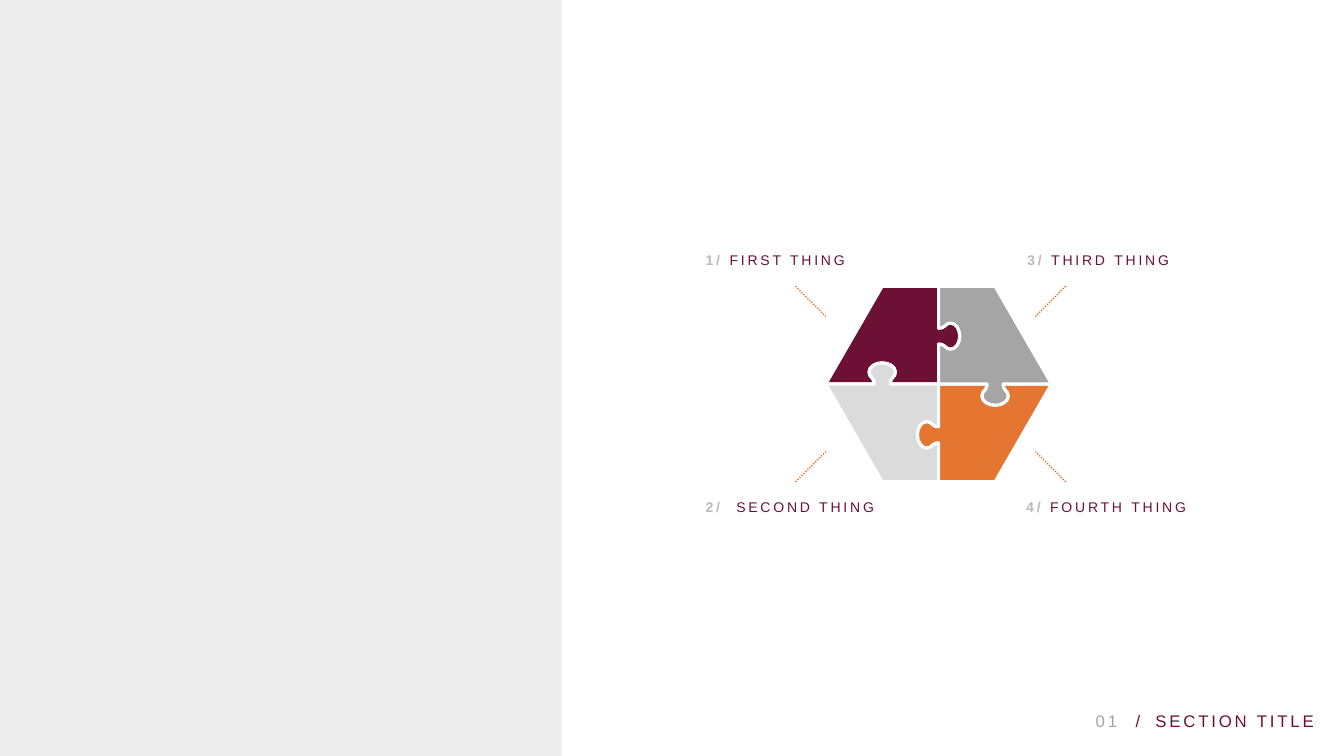
import dataclasses

import pptx
import pptx.dml.color
import pptx.enum.dml
import pptx.enum.shapes
import pptx.enum.text
import pptx.oxml.ns
import pptx.util
from lxml import etree

SLIDE_WIDTH, SLIDE_HEIGHT = 13.33, 7.5


@dataclasses.dataclass(frozen=True)
class Theme:
    font: str = "Arial"
    panel: str = "EDEDED"
    white: str = "FFFFFF"
    wine: str = "6C1035"
    silver: str = "DBDBDB"
    orange: str = "E57631"
    gray: str = "A5A5A5"
    number: str = "BABABA"
    label_size: float = 10
    footer_size: float = 12
    tracking: float = 2
    wide_tracking: float = 6.8
    seam_width: float = 2.25
    leader_width: float = 1


@dataclasses.dataclass(frozen=True)
class Box:
    left: float
    top: float
    width: float
    height: float

    def emu(self):
        return [pptx.util.Inches(v) for v in dataclasses.astuple(self)]


THEME = Theme()
PANEL = Box(0, 0, 5.57, SLIDE_HEIGHT)
DIAGRAM = Box(6.9, 2.45, 5.48, 2.72)
FOOTER = Box(6.37, 6.85, SLIDE_WIDTH - 6.37, 0.45)

HALF_KNOB = [
    (0.08, 0), (0.08, 0.02), (0.08, 0.04), (0.1, 0.06),
    (0.12, 0.08), (0.13, 0.09), (0.13, 0.12),
    (0.13, 0.17), (0.07, 0.21), (0, 0.21),
]
KNOB = HALF_KNOB + [(-along, out) for along, out in HALF_KNOB[-2::-1]]


def rgb(color):
    return pptx.dml.color.RGBColor.from_string(color)


def straight(start, end):
    return [start, end, end]


def seam(end, knob_share, direction):
    knob_x, knob_y = end[0] * knob_share, end[1] * knob_share
    side = 1 if sum(end) > 0 else -1
    if end[0]:
        knob = [(knob_x + side * along, direction * out) for along, out in KNOB]
    else:
        knob = [(direction * out, knob_y + side * along) for along, out in KNOB]
    return straight(end, knob[0]) + knob[:-1] + straight(knob[-1], (0, 0)) + [(0, 0)]


def add_curved_outline(slide, points):
    anchors = points[::3]
    builder = slide.shapes.build_freeform(*anchors[0], scale=1.0)
    builder.add_line_segments(anchors[1:], close=True)
    outline = builder.convert_to_shape()
    segments = list(outline._element.iter(pptx.oxml.ns.qn("a:lnTo")))
    for index, segment in enumerate(segments):
        start, first, second, end = points[3 * index:3 * index + 4]
        if first == start and second == end:
            continue
        segment.tag = pptx.oxml.ns.qn("a:cubicBezTo")
        for position, (x, y) in enumerate((first, second)):
            handle = etree.Element(pptx.oxml.ns.qn("a:pt"))
            handle.set("x", str(x - outline.left))
            handle.set("y", str(y - outline.top))
            segment.insert(position, handle)
    return outline


def add_text(slide, box, runs, size, footer=False, align=None):
    frame = slide.shapes.add_textbox(*box.emu()).text_frame
    frame.word_wrap = True
    paragraph = frame.paragraphs[0]
    if footer:
        frame.vertical_anchor = pptx.enum.text.MSO_ANCHOR.BOTTOM
        frame.margin_left = frame.margin_right = pptx.util.Inches(0.05)
        paragraph.line_spacing = 0.9
    paragraph.alignment = align
    paragraph.font.name = THEME.font
    paragraph.font.size = pptx.util.Pt(size)
    for wording, color, bold, tracking in runs:
        run = paragraph.add_run()
        run.text = wording
        run.font.color.rgb = rgb(color)
        run.font.bold = bold
        run._r.get_or_add_rPr().set("spc", str(round(tracking * 100)))


def add_panel(slide, box):
    panel = slide.shapes.add_shape(pptx.enum.shapes.MSO_SHAPE.RECTANGLE, *box.emu())
    panel.shadow.inherit = False
    panel.fill.solid()
    panel.fill.fore_color.rgb = rgb(THEME.panel)
    panel.line.fill.background()


def add_puzzle(slide, box):
    half_width, half_height = box.width / 2, box.height / 2
    center_x, center_y = box.left + half_width, box.top + half_height
    top = seam((0, -half_height), 0.49, 1)
    bottom = seam((0, half_height), 0.52, -1)
    left = seam((-half_width, 0), 0.5, -1)
    right = seam((half_width, 0), 0.5, 1)
    pieces = [
        (top, left, -1, -1, THEME.wine),
        (bottom, left, -1, 1, THEME.silver),
        (bottom, right, 1, 1, THEME.orange),
        (top, right, 1, -1, THEME.gray),
    ]
    for upright, level, side, row, color in pieces:
        corner = (side * half_width / 2, row * half_height)
        edge = straight(level[0], corner)[1:] + [corner]
        points = [(pptx.util.Inches(center_x + x), pptx.util.Inches(center_y + y))
                  for x, y in upright + level[-2::-1] + [level[0]] * 0 + edge]
        piece = add_curved_outline(slide, points)
        piece.shadow.inherit = False
        piece.fill.solid()
        piece.fill.fore_color.rgb = rgb(color)
        piece.line.color.rgb = rgb(THEME.white)
        piece.line.width = pptx.util.Pt(THEME.seam_width)


def add_leaders(slide, center_x, center_y):
    for side in (-1, 1):
        for row in (-1, 1):
            ends = [center_x + side * 1.34, center_y + row * 0.97,
                    center_x + side * 1.04, center_y + row * 0.67]
            leader = slide.shapes.add_connector(
                pptx.enum.shapes.MSO_CONNECTOR.STRAIGHT, *map(pptx.util.Inches, ends))
            leader.line.color.rgb = rgb(THEME.orange)
            leader.line.width = pptx.util.Pt(THEME.leader_width)
            leader.line.dash_style = pptx.enum.dml.MSO_LINE.ROUND_DOT
            etree.SubElement(leader._element.spPr, pptx.oxml.ns.qn("a:effectLst"))


def add_diagram(slide, box):
    add_puzzle(slide, Box(box.left + 1.29, box.top + 0.39, 2.24, 1.94))
    add_leaders(slide, box.left + 2.33, box.top + 1.36)
    lower = box.height - 0.27
    wide_number = [("2/", THEME.number, True, THEME.tracking),
                   (" ", THEME.number, True, THEME.wide_tracking)]
    labels = [
        ([("1/ ", THEME.number, True, THEME.tracking)], "FIRST THING", 0, 0, 1.98),
        (wide_number, "SECOND THING", 0, lower, 2.46),
        ([("3/ ", THEME.number, True, THEME.tracking)], "THIRD THING", 3.19, 0, 1.98),
        ([("4/ ", THEME.number, True, THEME.tracking)], "FOURTH THING", 3.18, lower, 2.3),
    ]
    for number, title, across, down, width in labels:
        add_text(slide, Box(box.left + across, box.top + down, width, 0.27),
                 number + [(title, THEME.wine, False, THEME.tracking)], THEME.label_size)


def add_footer(slide, box):
    right = pptx.enum.text.PP_ALIGN.RIGHT
    parts = [
        ("SECTION TITLE", THEME.wine, 5.04, box.width - 5.04, None),
        ("01", THEME.gray, 0, 4.76, right),
        ("/", THEME.wine, 4.72, 0.27, right),
    ]
    for wording, color, across, width, align in parts:
        add_text(slide, Box(box.left + across, box.top, width, box.height),
                 [(wording, color, False, THEME.tracking)], THEME.footer_size,
                 footer=True, align=align)


def main():
    deck = pptx.Presentation()
    deck.slide_width = pptx.util.Inches(SLIDE_WIDTH)
    deck.slide_height = pptx.util.Inches(SLIDE_HEIGHT)
    slide = deck.slides.add_slide(deck.slide_layouts[6])
    add_panel(slide, PANEL)
    add_diagram(slide, DIAGRAM)
    add_footer(slide, FOOTER)
    deck.save("out.pptx")


if __name__ == "__main__":
    main()
